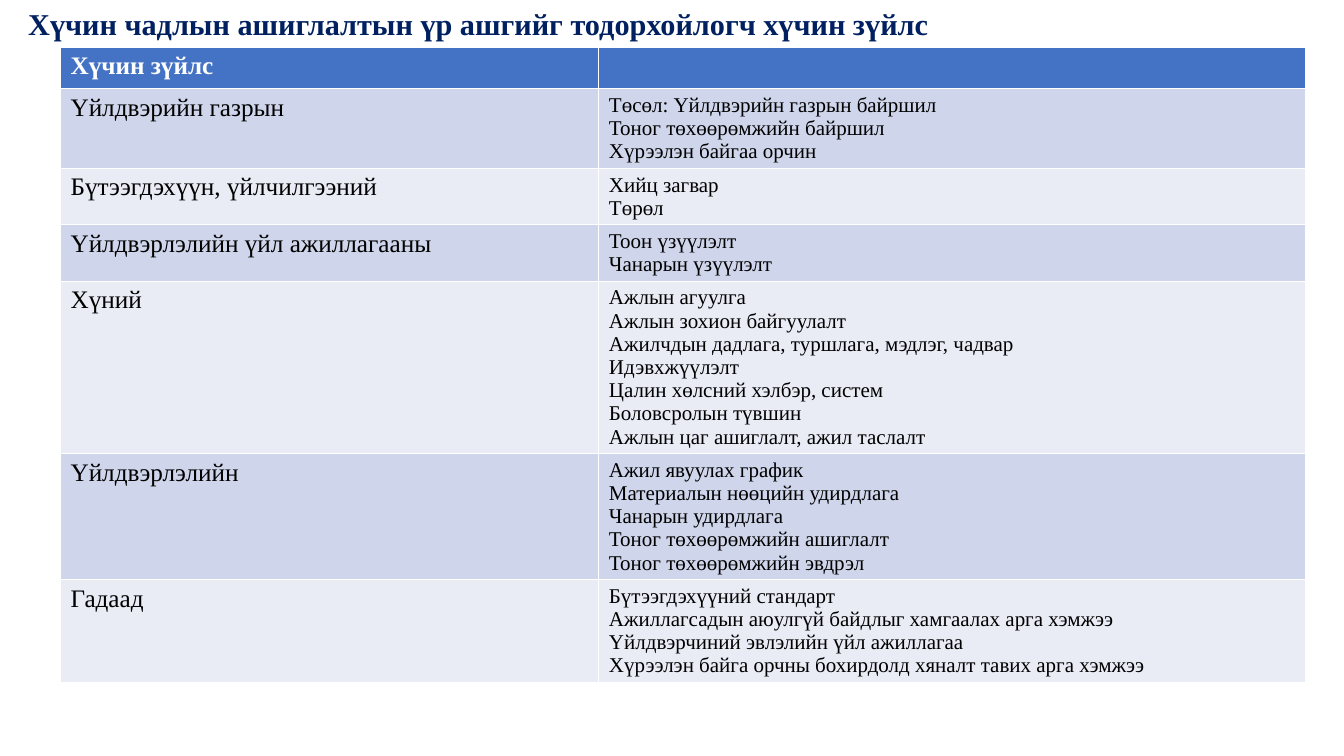
from pptx import Presentation
from pptx.dml.color import RGBColor
from pptx.enum.text import MSO_ANCHOR, MSO_AUTO_SIZE, PP_ALIGN
from pptx.util import Inches, Pt

TITLE = "Хүчин чадлын ашиглалтын үр ашгийг тодорхойлогч хүчин зүйлс"
HEADER = ("Хүчин зүйлс", [])
FACTORS = [
    ("Үйлдвэрийн газрын", [
        "Төсөл: Үйлдвэрийн газрын байршил",
        "Тоног төхөөрөмжийн байршил",
        "Хүрээлэн байгаа орчин",
    ]),
    ("Бүтээгдэхүүн, үйлчилгээний", ["Хийц загвар", "Төрөл"]),
    ("Үйлдвэрлэлийн үйл ажиллагааны", ["Тоон үзүүлэлт", "Чанарын үзүүлэлт"]),
    ("Хүний", [
        "Ажлын агуулга",
        "Ажлын зохион байгуулалт",
        "Ажилчдын дадлага, туршлага, мэдлэг, чадвар",
        "Идэвхжүүлэлт",
        "Цалин хөлсний хэлбэр, систем",
        "Боловсролын түвшин",
        "Ажлын цаг ашиглалт, ажил таслалт",
    ]),
    ("Үйлдвэрлэлийн", [
        "Ажил явуулах график",
        "Материалын нөөцийн удирдлага",
        "Чанарын удирдлага",
        "Тоног төхөөрөмжийн ашиглалт",
        "Тоног төхөөрөмжийн эвдрэл",
    ]),
    ("Гадаад", [
        "Бүтээгдэхүүний стандарт",
        "Ажиллагсадын аюулгүй байдлыг хамгаалах арга хэмжээ",
        "Үйлдвэрчиний эвлэлийн үйл ажиллагаа",
        "Хүрээлэн байга орчны бохирдолд хяналт тавих арга хэмжээ",
    ]),
]

COLORS = {"title": "002060", "header": "4472C4", "odd": "CFD5EA",
          "even": "E9EBF5", "white": "FFFFFF", "black": "000000"}
FONT = "Times New Roman"
COLUMN_WIDTHS = (5.34, 7.01)
HEADER_HEIGHT, LINE_HEIGHT, CELL_PADDING = 0.41, 0.23, 0.1


def set_font(paragraph, size, color, bold=False):
    font = paragraph.font
    font.name, font.size, font.bold = FONT, Pt(size), bold
    font.color.rgb = RGBColor.from_string(COLORS[color])


def fill_cell(cell, lines, fill, size, color, bold=False):
    cell.fill.solid()
    cell.fill.fore_color.rgb = RGBColor.from_string(COLORS[fill])
    cell.text = "\n".join(lines)
    for paragraph in cell.text_frame.paragraphs:
        set_font(paragraph, size, color, bold)


presentation = Presentation()
presentation.slide_width, presentation.slide_height = Inches(13.33), Inches(7.5)
slide = presentation.slides.add_slide(presentation.slide_layouts[5])

# Title
title = slide.shapes.title
title.left, title.top = Inches(0.18), Inches(0.05)
title.width, title.height = Inches(13.09), Inches(0.42)
frame = title.text_frame
frame.text = TITLE
frame.word_wrap = True
frame.auto_size = MSO_AUTO_SIZE.NONE
frame.vertical_anchor = MSO_ANCHOR.MIDDLE
heading = frame.paragraphs[0]
heading.alignment = PP_ALIGN.LEFT
heading.line_spacing = 0.9
set_font(heading, 21.6, "title", bold=True)

# Table: each row is as tall as its list of details
rows = [HEADER] + FACTORS
heights = [HEADER_HEIGHT] + [CELL_PADDING + LINE_HEIGHT * len(details)
                             for _, details in FACTORS]
table = slide.shapes.add_table(
    len(rows), len(COLUMN_WIDTHS), Inches(0.6), Inches(0.47),
    Inches(sum(COLUMN_WIDTHS)), Inches(sum(heights))).table
for column, width in zip(table.columns, COLUMN_WIDTHS):
    column.width = Inches(width)

for index, ((factor, details), height) in enumerate(zip(rows, heights)):
    table.rows[index].height = Inches(height)
    is_header = index == 0
    fill = "header" if is_header else "odd" if index % 2 else "even"
    color = "white" if is_header else "black"
    fill_cell(table.cell(index, 0), [factor], fill, 18, color, is_header)
    fill_cell(table.cell(index, 1), details, fill, 15, color, is_header)

presentation.save("out.pptx")
